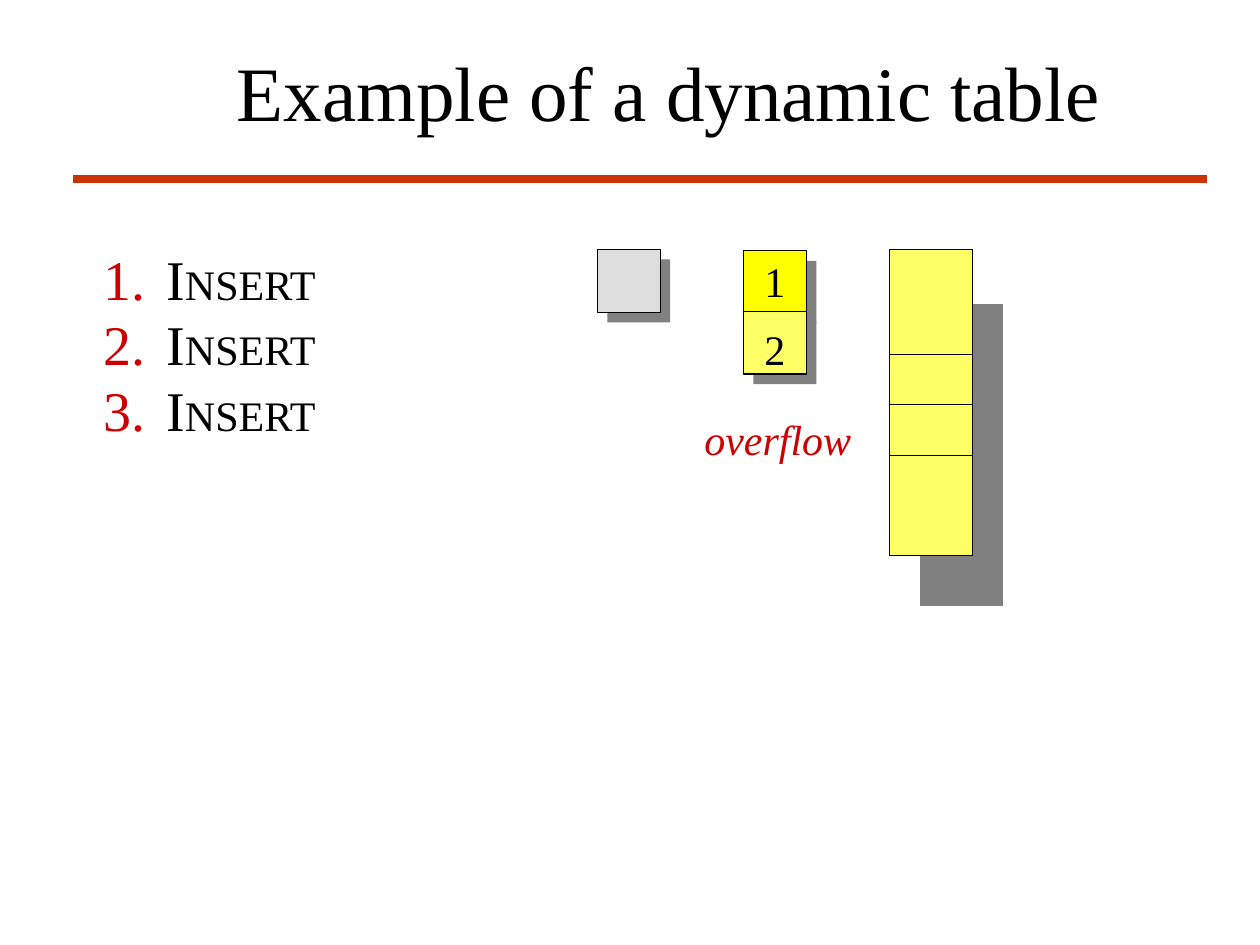
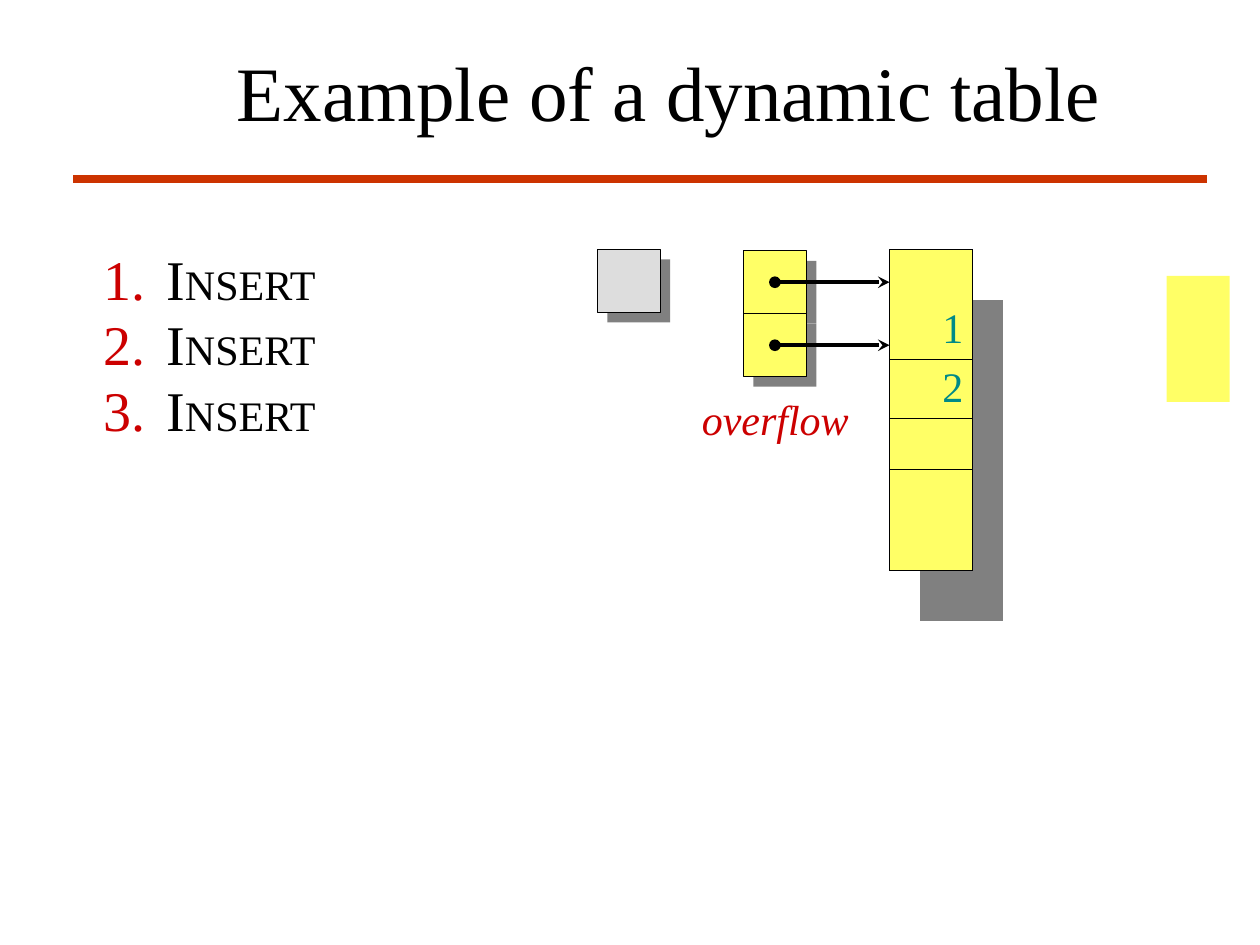
from dataclasses import dataclass

import pptx
import pptx.dml.color
import pptx.enum.shapes
import pptx.enum.text
import pptx.oxml
import pptx.oxml.ns
import pptx.util
from lxml import etree
from pptx.util import Inches

FONT = "Times New Roman"
BLACK, RED, RULE_RED, TEAL = "000000", "CC0000", "CC3300", "008A87"
GREY, SHADOW, YELLOW, BRIGHT_YELLOW = "DDDDDD", "808080", "FFFF66", "FFFF00"

SQUARE_SIDE = 0.5
OLD_LEFT, ARRAY_LEFT, TABLE_LEFT, SPARE_LEFT = 4.74, 5.9, 7.06, 9.26
ARRAY_TOP = 1.99
COLUMN_WIDTHS = [0.08, 0.42, 0.08]
# Cell boundaries of the new table that carry a line
BLOCK_COLUMNS, BLOCK_ROWS = 2, 6
RULED_ROWS, RULED_COLUMNS = (0, 2, 3, 4, 6), (0, 2)


@dataclass
class Square:
    left: float
    top: float
    fill: str = YELLOW
    label: str = ""
    label_top: float = 0
    raised: bool = True


@dataclass
class Step:
    squares: list[Square]
    overflow_at: tuple[float, float]
    row_heights: list[float]
    entries: dict[int, str]
    arrow_tops: list[float]


# First the full array beside the empty new table, then the copy into it
STEPS = [
    Step([Square(OLD_LEFT, 1.98, GREY),
          Square(ARRAY_LEFT, ARRAY_TOP, BRIGHT_YELLOW, "1", 0.04),
          Square(ARRAY_LEFT, 2.47, YELLOW, "2", 0.1)],
         (5.59, 3.28), [0.43] + [0.4] * 6, {}, []),
    Step([Square(OLD_LEFT, 1.98, GREY)]
         + [Square(ARRAY_LEFT, ARRAY_TOP + i * SQUARE_SIDE) for i in range(2)]
         + [Square(SPARE_LEFT, 2.19 + i * SQUARE_SIDE, raised=False) for i in range(2)],
         (5.57, 3.12), [0.4, 0.4, 0.41, 0.41, 0.4, 0.4, 0.4], {1: "1", 2: "2"},
         [ARRAY_TOP + (i + 0.5) * SQUARE_SIDE for i in range(2)]),
]


def rgb(color: str) -> pptx.dml.color.RGBColor:
    return pptx.dml.color.RGBColor.from_string(color)


def add_xml(parent, tag: str, **attributes: str):
    return etree.SubElement(parent, pptx.oxml.ns.qn(tag), attributes)


def style_run(run, size: float, color: str = BLACK, italic: bool = False) -> None:
    run.font.name = FONT
    run.font.size = pptx.util.Pt(size)
    run.font.color.rgb = rgb(color)
    run.font.italic = italic


def clear_frame(frame) -> None:
    """Remove the insets and start the text at the top."""
    frame.margin_left = frame.margin_right = frame.margin_top = frame.margin_bottom = 0
    frame.vertical_anchor = pptx.enum.text.MSO_ANCHOR.TOP
    frame.auto_size = pptx.enum.text.MSO_AUTO_SIZE.NONE
    frame.word_wrap = True


def add_line(slide, start: tuple[float, float], end: tuple[float, float],
             color: str, width: float):
    line = slide.shapes.add_connector(
        pptx.enum.shapes.MSO_CONNECTOR.STRAIGHT, *map(Inches, start + end))
    line.line.color.rgb = rgb(color)
    line.line.width = pptx.util.Pt(width)
    add_xml(line.element.spPr, "a:effectLst")
    return line


def add_title(slide) -> None:
    title = slide.shapes.title
    title.left, title.top, title.width, title.height = map(Inches, (1.02, 0.35, 7.93, 0.73))
    frame = title.text_frame
    clear_frame(frame)
    frame.margin_left = Inches(0.65)
    frame.text = "Example of a dynamic table"
    frame.paragraphs[0].alignment = pptx.enum.text.PP_ALIGN.CENTER
    style_run(frame.paragraphs[0].runs[0], 44)


def add_operations(slide) -> None:
    """Numbered list of INSERT operations in small capitals."""
    frame = slide.shapes.add_textbox(*map(Inches, (0.81, 1.95, 1.75, 1.56))).text_frame
    clear_frame(frame)
    for i, spacing in enumerate((37.7, 37.1, 37.7)):
        operation = frame.add_paragraph() if i else frame.paragraphs[0]
        properties = operation._p.get_or_add_pPr()
        properties.set("marL", str(Inches(0.51)))
        properties.set("indent", str(Inches(-0.5)))
        add_xml(add_xml(properties, "a:buClr"), "a:srgbClr", val=RED)
        add_xml(properties, "a:buAutoNum", type="arabicPeriod")
        operation.line_spacing = pptx.util.Pt(spacing)
        for letters, size in (("I", 32), ("NSERT", 24)):
            run = operation.add_run()
            run.text = letters
            style_run(run, size)


def add_box(slide, left: float, top: float, fill: str):
    box = slide.shapes.add_shape(
        pptx.enum.shapes.MSO_SHAPE.RECTANGLE,
        *map(Inches, (left, top, SQUARE_SIDE, SQUARE_SIDE)))
    box.shadow.inherit = False
    box.fill.solid()
    box.fill.fore_color.rgb = rgb(fill)
    box.line.fill.background()
    return box


def add_square(slide, square: Square) -> None:
    if square.raised:
        add_box(slide, square.left + 0.08, square.top + 0.08, SHADOW)
    box = add_box(slide, square.left, square.top, square.fill)
    if square.raised:
        box.line.color.rgb = rgb(BLACK)
        box.line.width = pptx.util.Pt(0.75)
    if square.label:
        frame = box.text_frame
        clear_frame(frame)
        frame.margin_top = Inches(square.label_top)
        frame.text = square.label
        frame.paragraphs[0].alignment = pptx.enum.text.PP_ALIGN.CENTER
        style_run(frame.paragraphs[0].runs[0], 24)


def set_borders(cell, row: int, column: int) -> None:
    beside, across = row < BLOCK_ROWS, column < BLOCK_COLUMNS
    sides = {"L": beside and column in RULED_COLUMNS,
             "R": beside and column + 1 in RULED_COLUMNS,
             "T": across and row in RULED_ROWS,
             "B": across and row + 1 in RULED_ROWS}
    properties = cell._tc.get_or_add_tcPr()
    for side, ruled in sides.items():
        border = add_xml(properties, f"a:ln{side}", w=str(pptx.util.Pt(0.34)))
        if ruled:
            add_xml(add_xml(border, "a:solidFill"), "a:srgbClr", val=BLACK)
        else:
            add_xml(border, "a:noFill")


def fill_cell(cell, row: int, column: int) -> None:
    """Yellow block, with its shadow one row and one column further."""
    if row < BLOCK_ROWS and column < BLOCK_COLUMNS:
        color = YELLOW
    elif row and column:
        color = SHADOW
    else:
        cell.fill.background()
        return
    cell.fill.solid()
    cell.fill.fore_color.rgb = rgb(color)


def add_new_table(slide, step: Step) -> None:
    heights = step.row_heights
    table = slide.shapes.add_table(
        len(heights), len(COLUMN_WIDTHS),
        *map(Inches, (TABLE_LEFT, 1.98, sum(COLUMN_WIDTHS), sum(heights)))).table
    table.first_row = table.horz_banding = False
    for column, width in enumerate(COLUMN_WIDTHS):
        table.columns[column].width = Inches(width)
    for row, height in enumerate(heights):
        table.rows[row].height = Inches(height)
        for column in range(len(COLUMN_WIDTHS)):
            cell = table.cell(row, column)
            set_borders(cell, row, column)
            fill_cell(cell, row, column)
            if column == 1 and row in step.entries:
                cell.margin_left, cell.margin_right = Inches(0.18), Inches(0.05)
                cell.text_frame.text = step.entries[row]
                style_run(cell.text_frame.paragraphs[0].runs[0], 24, TEAL)
            else:
                cell.margin_top = cell.margin_bottom = 0


def add_overflow(slide, at: tuple[float, float]) -> None:
    frame = slide.shapes.add_textbox(*map(Inches, at + (1.19, 0.4))).text_frame
    clear_frame(frame)
    frame.text = "overflow"
    style_run(frame.paragraphs[0].runs[0], 24, RED, italic=True)


def add_copy_arrow(slide, top: float) -> None:
    arrow = add_line(slide, (ARRAY_LEFT + SQUARE_SIDE / 2, top), (TABLE_LEFT, top), BLACK, 2.25)
    stroke = arrow.line._get_or_add_ln()
    add_xml(stroke, "a:headEnd", type="oval")
    add_xml(stroke, "a:tailEnd", type="stealth")


def add_master_rule(presentation, slide) -> None:
    """Draw the red rule and hand it to the master, for all slides."""
    rule = add_line(slide, (0.58, 1.42), (9.58, 1.42), RULE_RED, 4.5)
    rule.element.nvCxnSpPr.cNvPr.set("id", "20")
    presentation.slide_master.shapes.element.append(rule.element)


def main() -> None:
    presentation = pptx.Presentation()
    presentation.slide_width, presentation.slide_height = Inches(10), Inches(7.5)
    title_only = presentation.slide_layouts.get_by_name("Title Only")
    for number, step in enumerate(STEPS):
        slide = presentation.slides.add_slide(title_only)
        if number == 0:
            add_master_rule(presentation, slide)
        add_title(slide)
        add_operations(slide)
        for square in step.squares:
            add_square(slide, square)
        add_overflow(slide, step.overflow_at)
        add_new_table(slide, step)
        for top in step.arrow_tops:
            add_copy_arrow(slide, top)
    presentation.save("out.pptx")


if __name__ == "__main__":
    main()
